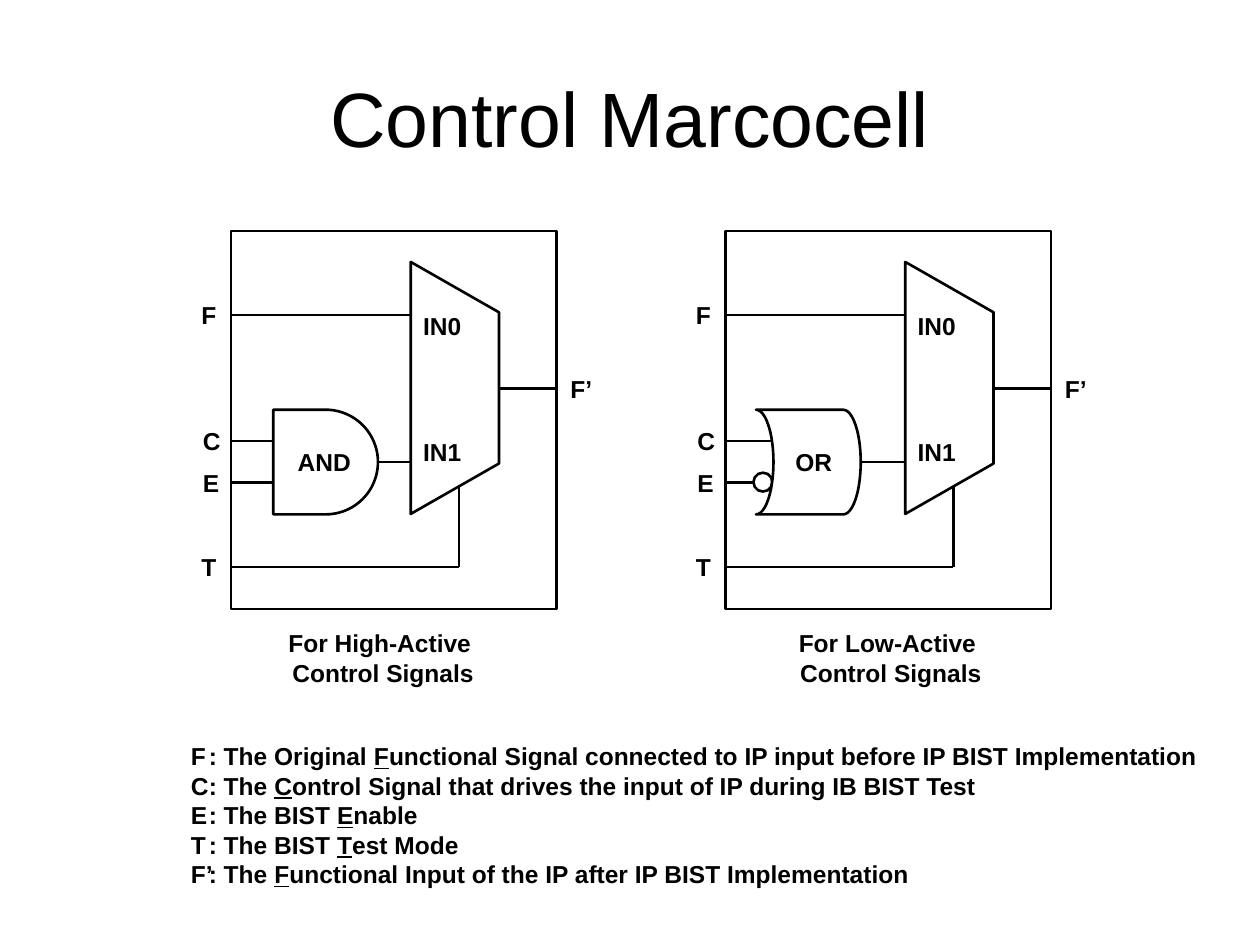
from pptx import Presentation
from pptx.dml.color import RGBColor
from pptx.enum.shapes import MSO_CONNECTOR, MSO_SHAPE
from pptx.enum.text import MSO_ANCHOR, MSO_AUTO_SIZE, PP_ALIGN
from pptx.oxml.ns import qn
from pptx.util import Cm, Pt
from lxml.etree import SubElement

INK = {name: RGBColor.from_string(code)
       for name, code in {"black": "000000", "white": "FFFFFF"}.items()}

deck = Presentation()
deck.slide_width, deck.slide_height = Cm(25.4), Cm(19.05)
slide = deck.slides.add_slide(deck.slide_layouts[6])
items = slide.shapes


def write(x, y, w, h, rows, align=PP_ALIGN.LEFT, size=14, bold=True):
    """Write rows of runs; every second run in a row is underlined."""
    box = items.add_textbox(Cm(x), Cm(y), Cm(w), Cm(h))
    frame = box.text_frame
    frame.word_wrap = False
    frame.auto_size = MSO_AUTO_SIZE.SHAPE_TO_FIT_TEXT
    for i, row in enumerate(rows):
        para = frame.add_paragraph() if i else frame.paragraphs[0]
        para.alignment = align
        for j, part in enumerate(row):
            run = para.add_run()
            run.text = part
            font = run.font
            font.name, font.size, font.bold = "Arial", Pt(size), bold
            font.color.rgb = INK["black"]
            if j % 2:
                font.underline = True
    return frame


def draw(kind, x, y, w, h, turn=0, solid=True):
    shape = items.add_shape(kind, Cm(x), Cm(y), Cm(w), Cm(h))
    shape.shadow.inherit = False
    shape.rotation = turn
    if solid:
        shape.fill.solid()
        shape.fill.fore_color.rgb = INK["white"]
    else:
        shape.fill.background()
    shape.line.color.rgb = INK["black"]
    shape.line.width = Pt(1.5)


# Title
title = write(1.27, 0.76, 22.86, 3.18, [["Control Marcocell"]],
              PP_ALIGN.CENTER, 44, False)
title.word_wrap = True
title.auto_size = MSO_AUTO_SIZE.NONE
title.vertical_anchor = MSO_ANCHOR.MIDDLE

# Wires and pin labels, placed as in the left panel
wires = [
    (4.68, 6.35, 8.5, 6.35),      # F
    (4.68, 8.89, 5.7, 8.89),      # C
    (4.68, 9.73, 5.7, 9.73),      # E
    (4.68, 11.43, 9.25, 11.43),   # T
    (9.25, 9.73, 9.25, 11.43),    # select
    (7.35, 9.31, 8.35, 9.31),     # gate to mux
    (9.98, 7.83, 11.23, 7.83),    # F’
]
pins = [
    ("F", 3.81, 5.92, 0.81), ("C", 3.84, 8.46, 0.86),
    ("E", 3.84, 9.31, 0.84), ("T", 3.81, 11, 0.81),
    ("F’", 11.25, 7.42, 0.94),
    ("IN0", 8.28, 6.15, 1.3), ("IN1", 8.28, 8.69, 1.3),
]
panels = [(0, "AND", "High", 5.5, 4.45), (9.97, "OR", "Low", 15.8, 4.32)]

for dx, gate, level, left, wide in panels:
    for x1, y1, x2, y2 in wires:
        wire = items.add_connector(MSO_CONNECTOR.STRAIGHT, Cm(x1 + dx), Cm(y1),
                                   Cm(x2 + dx), Cm(y2))
        wire.line.color.rgb = INK["black"]
        wire.line.width = Pt(1.5)
        SubElement(wire._element.spPr, qn("a:effectLst"))

    # Multiplexer and frame
    draw(MSO_SHAPE.FLOWCHART_MANUAL_OPERATION, 6.63 + dx, 6.93, 5.08, 1.78, 270)
    draw(MSO_SHAPE.RECTANGLE, 4.66 + dx, 4.66, 6.56, 7.62, solid=False)

    # Gate
    if gate == "AND":
        draw(MSO_SHAPE.FLOWCHART_DELAY, 5.51, 8.26, 2.11, 2.11)
        write(5.75, 8.89, 1.7, 0.86, [[gate]])
    else:
        draw(MSO_SHAPE.OVAL, 15.19, 9.53, 0.38, 0.38)
        draw(MSO_SHAPE.FLOWCHART_STORED_DATA, 15.24, 8.26, 2.11, 2.11, 180)
        write(15.67, 8.89, 1.47, 0.86, [[gate]], PP_ALIGN.CENTER)

    for name, x, y, w in pins:
        write(x + dx, y, w, 0.86, [[name]])
    write(left, 12.54, wide, 1.45,
          [[f"For {level}-Active "], ["Control Signals"]], PP_ALIGN.CENTER)

# Legend: keys and meanings
legend = [
    (": The Original ", "F",
     "unctional Signal connected to IP input before IP BIST Implementation"),
    (": The ", "C", "ontrol Signal that drives the input of IP during IB BIST Test"),
    (": The BIST ", "E", "nable"),
    (": The BIST ", "T", "est Mode"),
    (": The ", "F", "unctional Input of the IP after IP BIST Implementation"),
]
write(3.96, 14.82, 20.45, 3.23, legend)
write(3.6, 14.82, 0.96, 3.23, [["F"], ["C"], ["E"], ["T"], ["F’"]])

deck.save("out.pptx")
